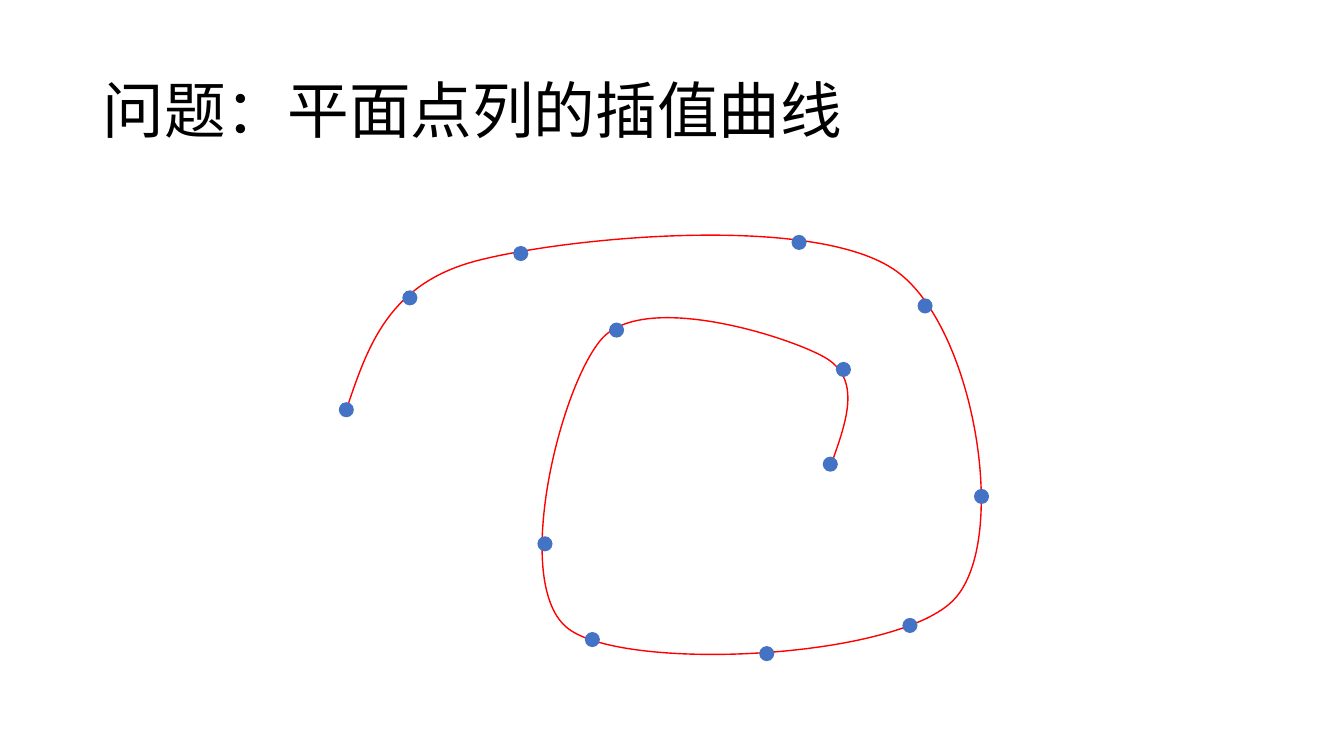
from lxml import etree
from pptx import Presentation
from pptx.dml.color import RGBColor
from pptx.enum.shapes import MSO_SHAPE
from pptx.enum.text import MSO_ANCHOR
from pptx.oxml.ns import qn
from pptx.util import Inches, Pt

OVAL = MSO_SHAPE.OVAL
MIDDLE = MSO_ANCHOR.MIDDLE
BLACK = RGBColor(0x00, 0x00, 0x00)
RED = RGBColor(0xFF, 0x00, 0x00)
BLUE = RGBColor(0x44, 0x72, 0xC4)

DOT = 0.15
CURVE_BOX = (3.44, 2.33, 6.3, 4.16)
START = (3.44, 4.05)
# Each segment: two control points, then the end point
SEGMENTS = [
    ((3.65, 3.43), (3.86, 2.8), (4.76, 2.58)),
    ((5.67, 2.35), (8.1, 2.12), (8.89, 2.69)),
    ((9.67, 3.25), (10.01, 5.35), (9.47, 5.94)),
    ((8.93, 6.54), (6.22, 6.67), (5.64, 6.24)),
    ((5.06, 5.81), (5.56, 3.8), (5.98, 3.35)),
    ((6.41, 2.9), (7.79, 3.33), (8.17, 3.54)),
    ((8.55, 3.75), (8.4, 4.17), (8.25, 4.59)),
]
# Left and top of each interpolated point
POINTS = [
    (3.36, 3.99), (3.99, 2.88), (9.1, 2.96), (7.85, 2.33), (9.66, 4.85),
    (6.04, 3.2), (8.95, 6.13), (5.8, 6.27), (5.33, 5.32), (8.29, 3.59),
    (8.16, 4.53), (5.09, 2.44), (7.53, 6.41),
]


def add_command(outline, tag, points):
    """Append a drawing command, with points relative to the curve's box."""
    command = etree.SubElement(outline, qn(tag))
    for x, y in points:
        pt = etree.SubElement(command, qn("a:pt"))
        pt.set("x", str(Inches(x - CURVE_BOX[0])))
        pt.set("y", str(Inches(y - CURVE_BOX[1])))


prs = Presentation()
prs.slide_width, prs.slide_height = Inches(13.33), Inches(7.5)
slide = prs.slides.add_slide(prs.slide_layouts[6])

# Title
title = slide.shapes.add_textbox(*map(Inches, (0.92, 0.4, 11.5, 1.45)))
tf = title.text_frame
tf.word_wrap = True
tf.vertical_anchor = MIDDLE
p = tf.paragraphs[0]
p.line_spacing = 0.9
r = p.add_run()
r.text = "问题：平面点列的插值曲线"
for name, value in {"name": "Calibri", "size": Pt(44)}.items():
    setattr(r.font, name, value)
r.font.color.rgb = BLACK

# Spiral curve: an outline through the knots, then bent into Bézier segments
builder = slide.shapes.build_freeform(*map(Inches, START))
builder.add_line_segments(
    [tuple(map(Inches, segment[-1])) for segment in SEGMENTS], close=False)
curve = builder.convert_to_shape()
for name, value in zip(("left", "top", "width", "height"), CURVE_BOX):
    setattr(curve, name, Inches(value))
outline = curve.element.find(".//" + qn("a:path"))
for command in list(outline):
    outline.remove(command)
outline.set("w", str(curve.width))
outline.set("h", str(curve.height))
add_command(outline, "a:moveTo", [START])
for segment in SEGMENTS:
    add_command(outline, "a:cubicBezTo", segment)
curve.shadow.inherit = False
curve.fill.background()
curve.line.color.rgb = RED
curve.line.width = Pt(1)

# Interpolated points
for x, y in POINTS:
    dot = slide.shapes.add_shape(OVAL, *map(Inches, (x, y, DOT, DOT)))
    dot.shadow.inherit = False
    dot.fill.solid()
    dot.fill.fore_color.rgb = BLUE
    dot.line.fill.background()

prs.save("out.pptx")
